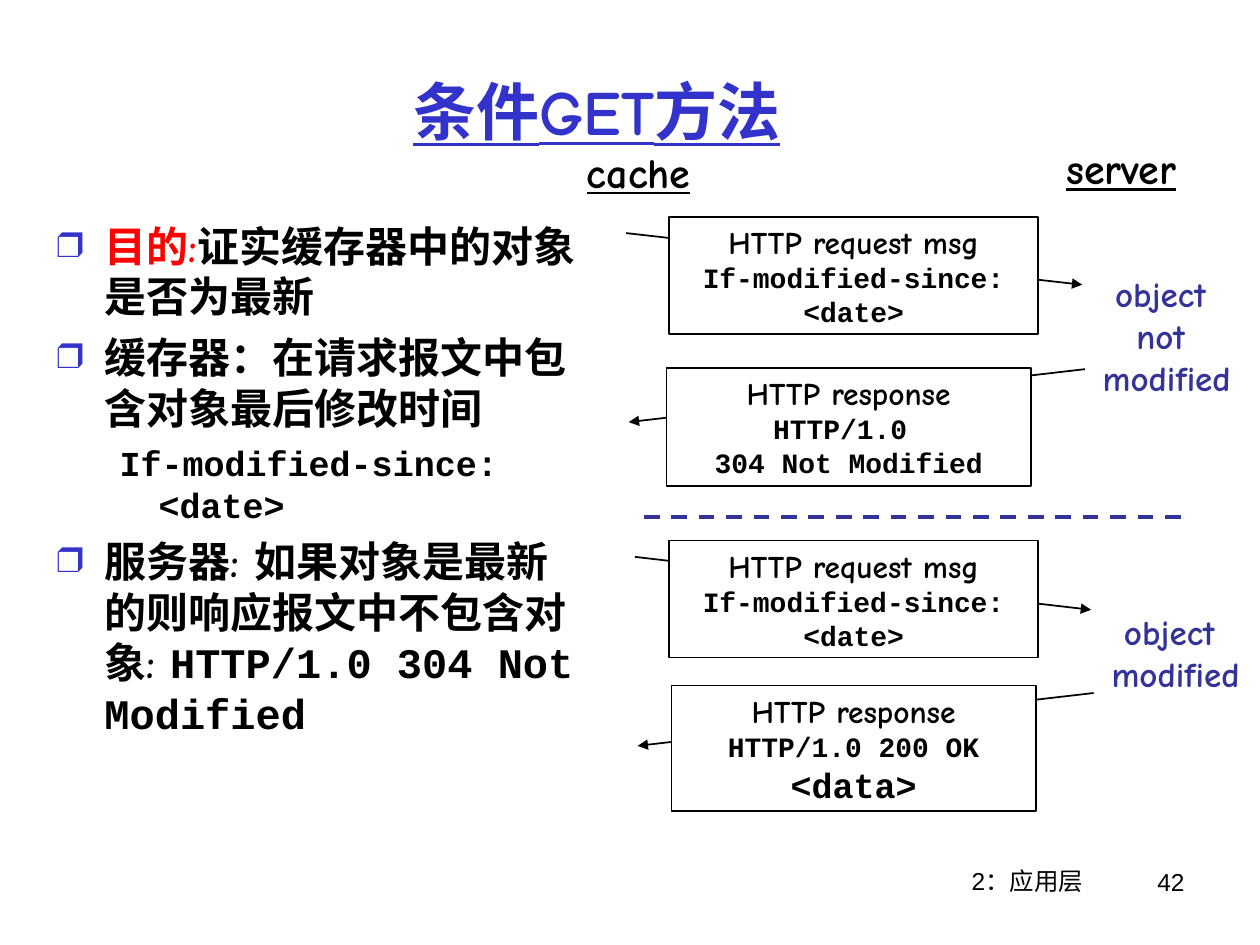
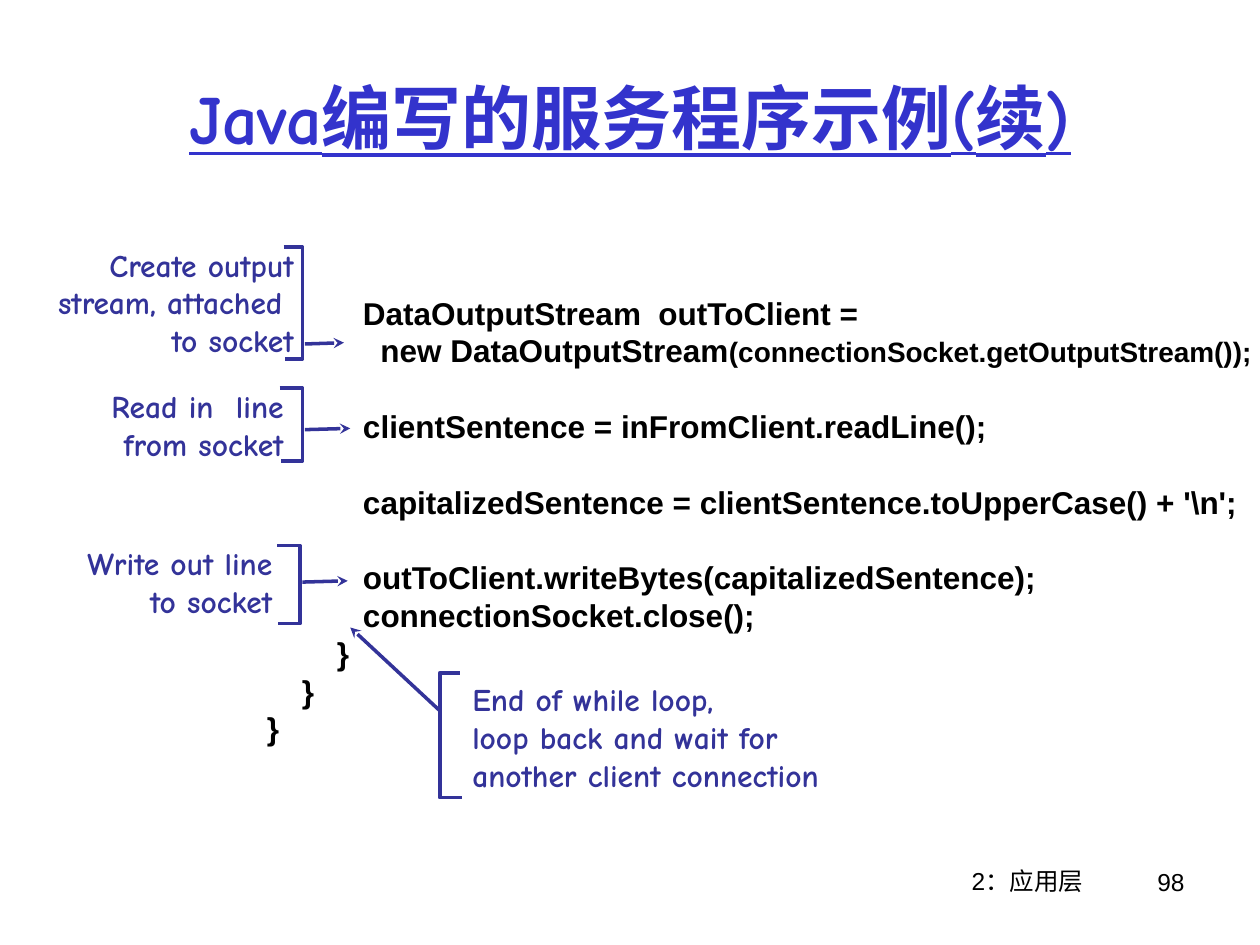
import pptx
import pptx.util
import pptx.dml.color
import pptx.enum.dml
import pptx.enum.shapes
import pptx.enum.text
import pptx.oxml
import pptx.oxml.ns
from lxml import etree

Inches = pptx.util.Inches
Pt = pptx.util.Pt
ALIGN = pptx.enum.text.PP_ALIGN
ANCHOR = pptx.enum.text.MSO_ANCHOR
COLORS = {"black": "000000", "white": "FFFFFF", "title": "3333CC", "note": "333399", "goal": "FF0000"}
COMIC, MONO, SANS = "Comic Neue", "Courier New", "Arial"


def write(shape, text, size=18, color="black", font=COMIC, bold=True, underline=False,
          align=ALIGN.LEFT, before=0, spacing=None, same_paragraph=False, wrap=True, anchor=ANCHOR.TOP):
    frame = shape.text_frame
    frame.auto_size = pptx.enum.text.MSO_AUTO_SIZE.NONE
    frame.word_wrap = wrap
    frame.vertical_anchor = anchor
    for line in text.split("\n"):
        paragraph = frame.paragraphs[-1]
        if not same_paragraph:
            if frame.text:
                paragraph = frame.add_paragraph()
            paragraph.alignment = align
            paragraph.space_before = Pt(before)
            if spacing:
                paragraph.line_spacing = Pt(spacing)
        run = paragraph.add_run()
        run.text = line
        run.font.name = font
        run.font.size = Pt(size)
        run.font.bold = bold
        run.font.underline = underline
        run.font.color.rgb = pptx.dml.color.RGBColor.from_string(COLORS[color])
    return paragraph


def add_line(slide, start, end, color="black", width=1, head=None):
    connector = slide.shapes.add_connector(
        pptx.enum.shapes.MSO_CONNECTOR.STRAIGHT, *map(Inches, start + end))
    connector.line.color.rgb = pptx.dml.color.RGBColor.from_string(COLORS[color])
    connector.line.width = Pt(width)
    if head:
        etree.SubElement(connector.line._get_or_add_ln(), pptx.oxml.ns.qn("a:tailEnd"), type=head)
    etree.SubElement(connector._element.spPr, pptx.oxml.ns.qn("a:effectLst"))
    return connector


presentation = pptx.Presentation()
presentation.slide_width = Inches(10)
presentation.slide_height = Inches(7.5)

slides = []
for title, title_size, title_place, number in [
    ("条件GET方法", 36, (0.38, 0.25, 8.71, 1.25), "42"),
    ("Java编写的服务程序示例(续)", 40, (0.5, 0.3, 9, 1.25), "98"),
]:
    slide = presentation.slides.add_slide(presentation.slide_layouts[5])
    shape = slide.shapes.title
    shape.left, shape.top, shape.width, shape.height = map(Inches, title_place)
    write(shape, title, size=title_size, color="title", underline=True,
          align=ALIGN.CENTER, anchor=ANCHOR.MIDDLE)
    for text, place, align in [
        ("2：应用层", (6.57, 6.82, 3.17, 0.52), ALIGN.CENTER),
        (number, (8.62, 6.83, 0.88, 0.52), ALIGN.RIGHT),
    ]:
        footer = slide.shapes.add_textbox(*map(Inches, place))
        write(footer, text, size=14, font=SANS, bold=False, align=align)
    slides.append(slide)

get_slide, java_slide = slides

body = get_slide.shapes.add_textbox(*map(Inches, (0.35, 1.7, 4.42, 4.71)))
goal = write(body, "目的:", size=24, color="goal")
write(body, "证实缓存器中的对象是否为最新", size=24, same_paragraph=True)
cache = write(body, "缓存器：在请求报文中包含对象最后修改时间", size=24, before=6)
header = write(body, "If-modified-since: <date>", size=20, font=MONO, before=5)
server = write(body, "服务器: 如果对象是最新的则响应报文中不包含对象: ", size=24, before=6)
write(body, "HTTP/1.0 304 Not Modified", size=24, font=MONO, same_paragraph=True)

for paragraph, margin, indent in [
    (goal, 0.38, -0.38), (cache, 0.38, -0.38), (header, 0.81, -0.31), (server, 0.38, -0.38),
]:
    properties = paragraph._p.get_or_add_pPr()
    properties.set("marL", str(Inches(margin)))
    properties.set("indent", str(Inches(indent)))
    if paragraph is not header:
        bullet_color = etree.SubElement(properties, pptx.oxml.ns.qn("a:buClr"))
        etree.SubElement(bullet_color, pptx.oxml.ns.qn("a:srgbClr"), val=COLORS["title"])
        etree.SubElement(properties, pptx.oxml.ns.qn("a:buSzPct"), val="85000")
        etree.SubElement(properties, pptx.oxml.ns.qn("a:buFont"), typeface="Times New Roman")
        etree.SubElement(properties, pptx.oxml.ns.qn("a:buChar"), char="❒")

for start, end in [
    ((4.97, 1.85), (8.59, 2.26)),
    ((8.61, 2.93), (4.99, 3.35)),
    ((5.04, 4.42), (8.66, 4.84)),
    ((8.68, 5.5), (5.06, 5.92)),
]:
    add_line(get_slide, start, end, head="triangle")

divider = add_line(get_slide, (5.11, 4.1), (9.38, 4.1), color="note", width=2.25)
divider.line.dash_style = pptx.enum.dml.MSO_LINE.DASH

request = [("HTTP request msg", 18, COMIC), ("If-modified-since: <date>", 16, MONO)]
for place, message in [
    ((5.31, 1.72, 2.93, 0.93), request),
    ((5.29, 2.92, 2.89, 0.94),
     [("HTTP response", 18, COMIC), ("HTTP/1.0 \n304 Not Modified", 16, MONO)]),
    ((5.31, 4.29, 2.93, 0.93), request),
    ((5.33, 5.44, 2.89, 1),
     [("HTTP response", 18, COMIC), ("HTTP/1.0 200 OK", 16, MONO), ("<data>", 20, MONO)]),
]:
    box = get_slide.shapes.add_shape(pptx.enum.shapes.MSO_SHAPE.RECTANGLE, *map(Inches, place))
    box.shadow.inherit = False
    box.fill.solid()
    box.fill.fore_color.rgb = pptx.dml.color.RGBColor.from_string(COLORS["white"])
    box.line.color.rgb = pptx.dml.color.RGBColor.from_string(COLORS["black"])
    box.line.width = Pt(1)
    for text, size, font in message:
        write(box, text, size=size, font=font, align=ALIGN.CENTER)

for text, place, size, color, underline in [
    ("cache", (4.56, 1.11, 1.02, 0.5), 24, "black", True),
    ("server", (8.36, 1.08, 1.08, 0.5), 24, "black", True),
    ("object \nnot \nmodified", (8.65, 2.11, 1.22, 1.1), 20, "note", False),
    ("object \nmodified", (8.72, 4.8, 1.22, 0.77), 20, "note", False),
]:
    label = get_slide.shapes.add_textbox(*map(Inches, place))
    write(label, text, size=size, color=color, underline=underline, align=ALIGN.CENTER, wrap=False)

code = java_slide.shapes.add_textbox(*map(Inches, (2.02, 1.75, 8.1, 4.63)))
code.text_frame.margin_top = Inches(0.58)
code_format = dict(font=SANS, spacing=21.6)
write(code, "           DataOutputStream  outToClient =\n             new DataOutputStream", **code_format)
write(code, "(connectionSocket.getOutputStream());", size=16, font=SANS, same_paragraph=True)
for text in [
    "           clientSentence = inFromClient.readLine();",
    "           capitalizedSentence = clientSentence.toUpperCase() + '\\n';",
    "           outToClient.writeBytes(capitalizedSentence);",
]:
    write(code, text, before=21.6, **code_format)
write(code, "           connectionSocket.close();\n        }\n    }\n}", **code_format)

for text, place, align, wrap in [
    ("Read in  line\nfrom socket", (0.78, 3.02, 1.57, 0.7), ALIGN.RIGHT, False),
    ("Create output\nstream, attached \nto socket", (0.14, 1.9, 2.29, 1), ALIGN.RIGHT, True),
    ("Write out line\nto socket", (0.58, 4.27, 1.68, 0.7), ALIGN.RIGHT, False),
    ("End of while loop,\nloop back and wait for\nanother client connection",
     (3.65, 5.35, 2.95, 1), ALIGN.LEFT, False),
]:
    note = java_slide.shapes.add_textbox(*map(Inches, place))
    write(note, text, color="note", align=align, wrap=wrap, anchor=ANCHOR.MIDDLE)

for top_tip, bottom_tip, spine, top, bottom, arrow_start, arrow_end in [
    (2.22, 2.23, 2.4, 3.08, 3.66, (2.42, 3.41), (2.78, 3.4)),
    (2.25, 2.26, 2.4, 1.96, 2.85, (2.42, 2.73), (2.73, 2.72)),
    (2.2, 2.21, 2.38, 4.33, 4.95, (2.4, 4.62), (2.76, 4.61)),
    (3.65, 3.67, 3.49, 5.34, 6.33, (3.49, 5.64), (2.78, 4.98)),
]:
    builder = java_slide.shapes.build_freeform(Inches(top_tip), Inches(top))
    corners = [(spine, top), (spine, bottom), (bottom_tip, bottom)]
    builder.add_line_segments([(Inches(x), Inches(y)) for x, y in corners], close=False)
    bracket = builder.convert_to_shape()
    bracket.shadow.inherit = False
    bracket.fill.background()
    bracket.line.color.rgb = pptx.dml.color.RGBColor.from_string(COLORS["note"])
    bracket.line.width = Pt(2)
    add_line(java_slide, arrow_start, arrow_end, color="note", width=2, head="stealth")

presentation.save("out.pptx")
